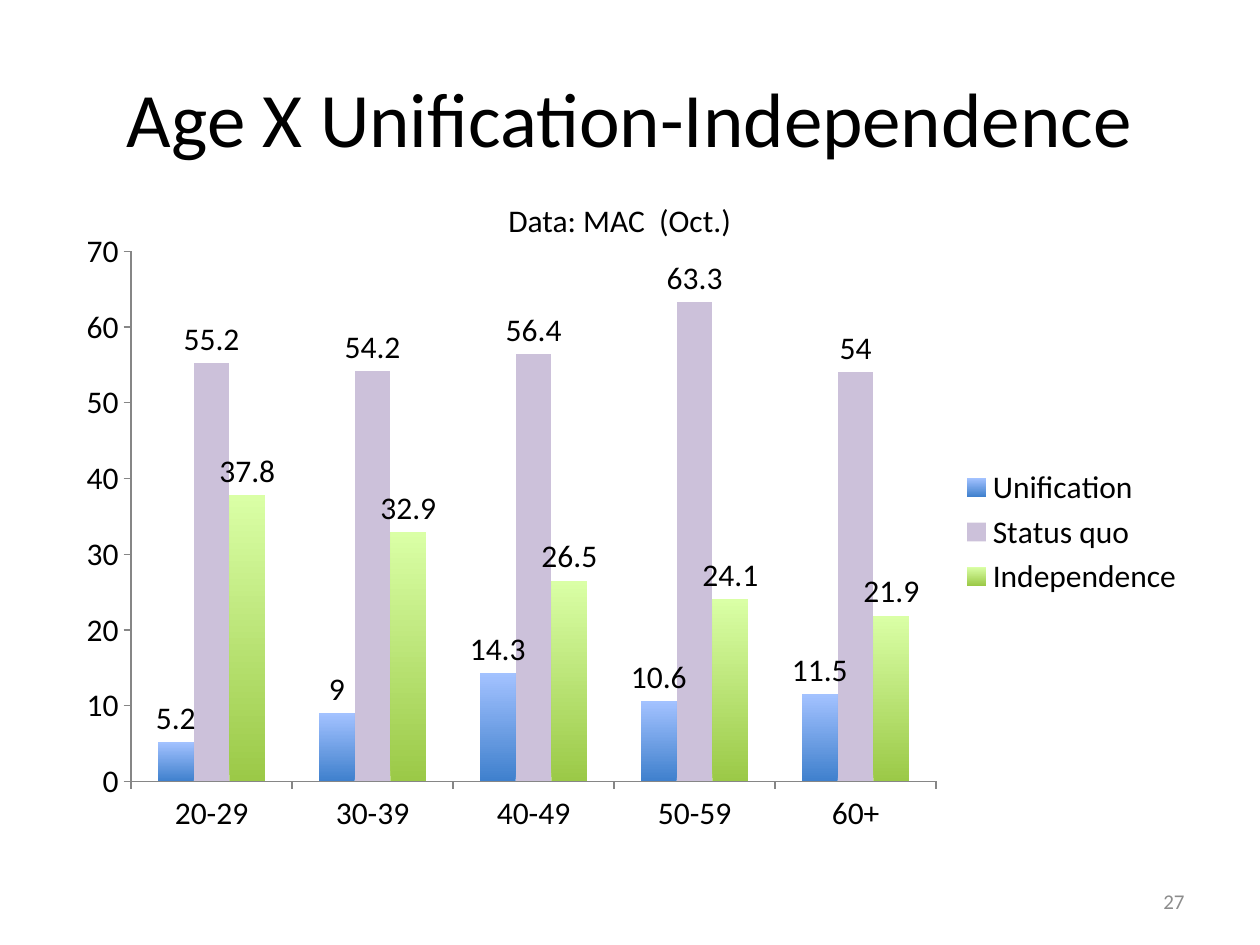
from lxml import etree
from pptx import Presentation
from pptx.chart.data import CategoryChartData
from pptx.dml.color import RGBColor
from pptx.enum.chart import XL_CHART_TYPE, XL_LABEL_POSITION, XL_LEGEND_POSITION, XL_TICK_MARK
from pptx.enum.text import MSO_ANCHOR, PP_ALIGN
from pptx.oxml.ns import qn
from pptx.util import Pt

PX = 914400 / 126
FONT = "Calibri"
COLUMNS = XL_CHART_TYPE.COLUMN_CLUSTERED
OUTSIDE_END = XL_LABEL_POSITION.OUTSIDE_END
LEGEND_RIGHT = XL_LEGEND_POSITION.RIGHT
TICK_OUT = XL_TICK_MARK.OUTSIDE
TOP, MIDDLE = MSO_ANCHOR.TOP, MSO_ANCHOR.MIDDLE
LEFT, CENTER, RIGHT = PP_ALIGN.LEFT, PP_ALIGN.CENTER, PP_ALIGN.RIGHT

AGE_GROUPS = ["20-29", "30-39", "40-49", "50-59", "60+"]
OPINIONS = [
    ("Unification", [5.2, 9, 14.3, 10.6, 11.5], ["3F80CD", "A3C2FF"]),
    ("Status quo", [55.2, 54.2, 56.4, 63.3, 54], ["CCC1DA"]),
    ("Independence", [37.8, 32.9, 26.5, 24.1, 21.9], ["9BC947", "DAFFA6"]),
]
PLOT_LAYOUT = {
    "layoutTarget": "inner", "xMode": "edge", "yMode": "edge",
    "x": 0.06, "y": 0.05, "w": 0.71, "h": 0.85,
}


def px(*lengths):
    """Turn pixel lengths into EMU."""
    return [round(length * PX) for length in lengths]


def color(code):
    """Turn a hex string into a colour."""
    return RGBColor.from_string(code)


def set_all(target, values):
    """Set each named attribute on the target."""
    for name, value in values.items():
        setattr(target, name, value)


def set_font(font, size, code="000000"):
    """Set typeface, size and colour of a font."""
    set_all(font, {"name": FONT, "size": Pt(size)})
    font.color.rgb = color(code)


def add_text(page, place, text, size, align=LEFT, anchor=MIDDLE, code="000000", wrap=True):
    """Add a one-paragraph text box."""
    frame = page.shapes.add_textbox(*px(*place)).text_frame
    set_all(frame, {"word_wrap": wrap, "vertical_anchor": anchor})
    para = frame.paragraphs[0]
    para.alignment = align
    span = para.add_run()
    span.text = text
    set_font(span.font, size, code)


def fill_series(fill, codes):
    """Fill columns solidly, or with a gradient from bottom to top."""
    if len(codes) == 1:
        fill.solid()
        fill.fore_color.rgb = color(codes[0])
        return
    fill.gradient()
    fill.gradient_angle = 90
    for stop, code in zip(fill.gradient_stops, codes):
        stop.color.rgb = color(code)


def place_plot(chart):
    """Fix the inner plot area within the chart."""
    area = chart.element.find(".//" + qn("c:plotArea"))
    layout = area.find(qn("c:layout"))
    if layout is None:
        layout = etree.Element(qn("c:layout"))
        area.insert(0, layout)
    manual = etree.SubElement(layout, qn("c:manualLayout"))
    for name, value in PLOT_LAYOUT.items():
        etree.SubElement(manual, qn("c:" + name)).set("val", str(value))


def style_axis(axis):
    """Show a grey axis with outward ticks and no gridlines."""
    set_all(axis, {"has_major_gridlines": False, "major_tick_mark": TICK_OUT})
    axis.format.line.color.rgb = color("868686")
    axis.format.line.width = Pt(0.75)


def add_opinion_chart(page, place):
    """Add the clustered columns of opinion by age group."""
    data = CategoryChartData()
    data.categories = AGE_GROUPS
    for name, values, _ in OPINIONS:
        data.add_series(name, values)
    chart = page.shapes.add_chart(COLUMNS, *px(*place), data).chart
    set_all(chart, {"has_title": False, "has_legend": True})
    set_all(chart.legend, {"position": LEGEND_RIGHT, "include_in_layout": False})
    set_font(chart.font, 18)
    place_plot(chart)
    for axis in (chart.category_axis, chart.value_axis):
        style_axis(axis)
    set_all(chart.value_axis, {"minimum_scale": 0, "maximum_scale": 70, "major_unit": 10})
    plot = chart.plots[0]
    set_all(plot, {"gap_width": 150, "overlap": 0, "vary_by_categories": False})
    for series, (_, _, codes) in zip(plot.series, OPINIONS):
        fill_series(series.format.fill, codes)
        set_all(series.data_labels, {"show_value": True, "position": OUTSIDE_END})


def main():
    """Build and save the slide."""
    deck = Presentation()
    set_all(deck, dict(zip(("slide_width", "slide_height"), px(1260, 945))))
    page = deck.slides.add_slide(deck.slide_layouts[6])
    add_text(page, (63, 38, 1134, 158), "Age X Unification-Independence", 44, CENTER)
    add_opinion_chart(page, (63, 220, 1134, 624))
    add_text(page, (903, 876, 294, 50), "27", 12, RIGHT, code="8C8C8C")
    add_text(page, (496, 195, 251, 50), "Data: MAC  (Oct.)", 18, anchor=TOP, wrap=False)
    deck.save("out.pptx")


if __name__ == "__main__":
    main()
